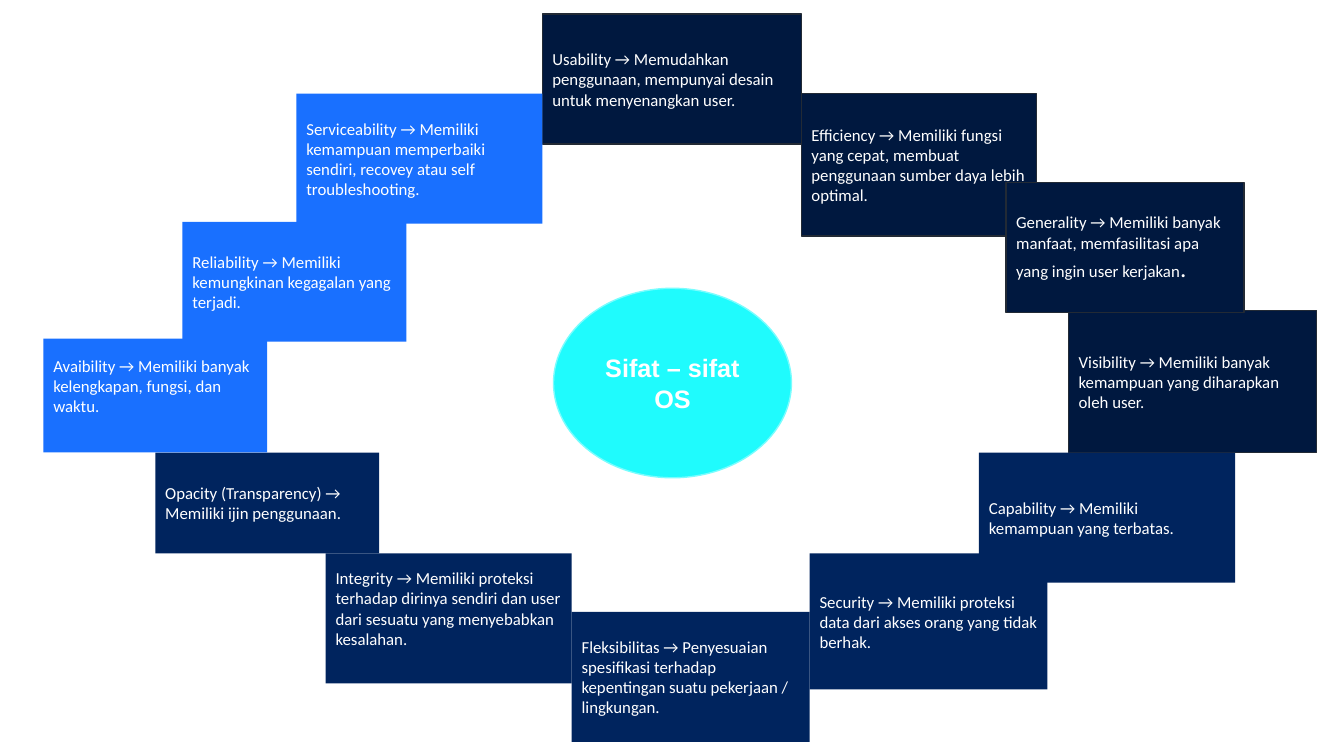
from pptx import Presentation
from pptx.dml.color import RGBColor as Rgb
from pptx.enum.shapes import MSO_SHAPE as Shape
from pptx.enum.text import MSO_ANCHOR as Anchor, PP_ALIGN as Align
from pptx.util import Inches, Pt

COLORS = {"cyan": "1FFBFD", "rim": "79FDFE", "dark": "00183F", "edge": "222A35",
          "navy": "00245E", "blue": "1970FF", "white": "FFFFFF"}


def color(name):
    return Rgb.from_string(COLORS[name])


def add_box(kind, place, fill, line, text, size, font):
    box = slide.shapes.add_shape(kind, *map(Inches, place))
    box.shadow.inherit = False
    box.fill.solid()
    box.fill.fore_color.rgb = color(fill)
    if line:
        box.line.color.rgb = color(line)
        box.line.width = Pt(1)
    else:
        box.line.fill.background()
    frame = box.text_frame
    frame.word_wrap = True
    frame.vertical_anchor = Anchor.MIDDLE
    frame.text = text
    par = frame.paragraphs[0]
    par.alignment = Align.LEFT
    par.font.size = Pt(size)
    par.font.name = font
    par.font.color.rgb = color("white")
    return box


deck = Presentation()
deck.slide_width = Inches(13.33)
deck.slide_height = Inches(7.5)
slide = deck.slides.add_slide(deck.slide_layouts[6])

hub = add_box(Shape.OVAL, (5.49, 2.86, 2.36, 1.88), "cyan", "rim",
              "Sifat – sifat OS", 18, "Arial")
title = hub.text_frame.paragraphs[0]
title.alignment = Align.CENTER
title.font.bold = True

traits = [
    ("Visibility", "Memiliki banyak kemampuan yang diharapkan oleh user.",
     "dark", (10.6, 3.08, 2.46, 1.41)),
    ("Efficiency", "Memiliki fungsi yang cepat, membuat penggunaan sumber daya lebih optimal.",
     "dark", (7.95, 0.93, 2.33, 1.41)),
    ("Generality", "Memiliki banyak manfaat, memfasilitasi apa yang ingin user kerjakan",
     "dark", (9.98, 1.81, 2.36, 1.29)),
    ("Usability", "Memudahkan penggunaan, mempunyai desain untuk menyenangkan user.",
     "dark", (5.38, 0.14, 2.57, 1.29)),
    ("Capability", "Memiliki kemampuan yang terbatas.",
     "navy", (9.71, 4.49, 2.54, 1.29)),
    ("Integrity", "Memiliki proteksi terhadap dirinya sendiri dan user dari sesuatu "
     "yang menyebabkan kesalahan.",
     "navy", (3.23, 5.49, 2.44, 1.29)),
    ("Security", "Memiliki proteksi data dari akses orang yang tidak berhak.",
     "navy", (8.03, 5.49, 2.36, 1.35)),
    ("Opacity (Transparency)", "Memiliki ijin penggunaan.",
     "navy", (1.54, 4.49, 2.22, 1)),
    ("Fleksibilitas", "Penyesuaian spesifikasi terhadap kepentingan suatu pekerjaan / lingkungan.",
     "navy", (5.67, 6.07, 2.36, 1.29)),
    ("Serviceability", "Memiliki kemampuan memperbaiki sendiri, recovey atau self troubleshooting.",
     "blue", (2.94, 0.93, 2.44, 1.29)),
    ("Reliability", "Memiliki kemungkinan kegagalan yang terjadi.",
     "blue", (1.81, 2.2, 2.22, 1.19)),
    ("Avaibility", "Memiliki banyak kelengkapan, fungsi, dan waktu.",
     "blue", (0.43, 3.36, 2.22, 1.13)),
]

for name, note, fill, place in traits:
    line = "edge" if fill == "dark" else None
    box = add_box(Shape.RECTANGLE, place, fill, line, f"{name} → {note}", 12, "Calibri")
    if name in ("Integrity", "Avaibility"):
        box.text_frame.margin_bottom = Inches(0.25)
    if name == "Generality":
        dot = box.text_frame.paragraphs[0].add_run()
        dot.text = "."
        dot.font.size = Pt(18)

deck.save("out.pptx")
